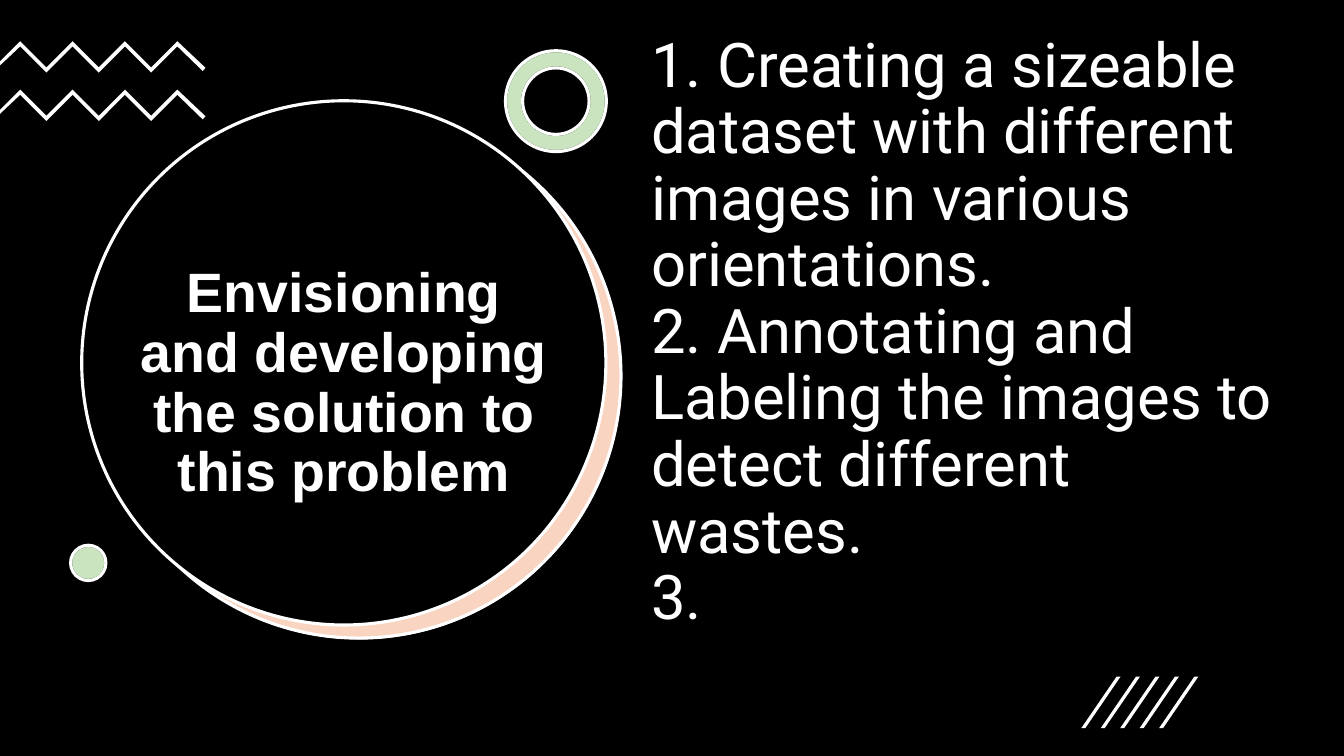
"""Build a slide on developing the solution, with circle and line ornaments."""
from lxml import etree
from pptx import Presentation
from pptx.dml.color import RGBColor
from pptx.enum.shapes import MSO_SHAPE
from pptx.enum.text import MSO_ANCHOR, PP_ALIGN
from pptx.oxml.ns import qn
from pptx.util import Cm, Pt

RECTANGLE, OVAL, DONUT = MSO_SHAPE.RECTANGLE, MSO_SHAPE.OVAL, MSO_SHAPE.DONUT
MIDDLE = MSO_ANCHOR.MIDDLE
LEFT, CENTER = PP_ALIGN.LEFT, PP_ALIGN.CENTER
BLACK, WHITE, ORANGE, GREEN = "000000", "FFFFFF", "E97132", "4EA72E"

SLIDE_SIZE = (33.87, 19.05)
HEADING = ["Envisioning and developing the solution to this problem"]
STEPS = [
    "1. Creating a sizeable dataset with different images in various orientations.",
    "2. Annotating and Labeling the images to detect different wastes.",
    "3.",
]
HEADING_BOX = (3.07, 5.21, 11.2, 8.94)
STEPS_BOX = (16.41, 0.71, 15.72, 15.39)

DISC_SIZE = 13.21
RING_BOX = (12.74, 1.28, 2.54, 2.54)
DOT_BOX = (1.78, 13.74, 0.89, 0.89)
CIRCLES = [
    (OVAL, (2.46, 2.9, DISC_SIZE, DISC_SIZE), WHITE, None, 100),
    (OVAL, (2.44, 2.87, DISC_SIZE, DISC_SIZE), ORANGE, WHITE, 30),
    (OVAL, (2.06, 2.54, DISC_SIZE, DISC_SIZE), BLACK, WHITE, 100),
]
BADGES = [(DONUT, RING_BOX), (OVAL, DOT_BOX)]
RING_THICKNESS = 0.17

ZIGZAG_TOPS = (1.04, 2.26)
ZIGZAG_START, ZIGZAG_STEP, ZIGZAG_DROP, ZIGZAG_THICKNESS = 0.51, 0.66, 0.66, 0.13
ZIGZAG_CORNERS = 7

SLASH_COUNT, SLASH_LEFT, SLASH_PITCH = 5, 27.25, 0.49
SLASH_TOP, SLASH_BOTTOM, SLASH_LEAN, SLASH_WIDTH = 17.05, 18.35, 0.89, 0.1


def color(hex_code):
    return RGBColor.from_string(hex_code)


def paint(shape, fill, line=None, opacity=100):
    shape.shadow.inherit = False
    shape.fill.solid()
    shape.fill.fore_color.rgb = color(fill)
    if opacity < 100:
        fill_color = shape.fill._xPr.find(qn("a:solidFill"))[0]
        etree.SubElement(fill_color, qn("a:alpha")).set("val", str(opacity * 1000))
    if line:
        shape.line.color.rgb = color(line)
        shape.line.width = Pt(2.25)
    else:
        shape.line.fill.background()


def add_figure(slide, kind, box, fill, line=None, opacity=100):
    figure = slide.shapes.add_shape(kind, *map(Cm, box))
    if kind == DONUT:
        figure.adjustments[0] = RING_THICKNESS
    paint(figure, fill, line, opacity)


def add_outline(slide, points):
    start, *rest = [(Cm(x), Cm(y)) for x, y in points]
    builder = slide.shapes.build_freeform(*start)
    builder.add_line_segments(rest, close=True)
    paint(builder.convert_to_shape(), WHITE)


def add_text(slide, paragraphs, box, *, font, size, bold=False, align=LEFT, inset=None):
    frame = slide.shapes.add_textbox(*map(Cm, box)).text_frame
    frame.word_wrap = True
    frame.vertical_anchor = MIDDLE
    if inset is not None:
        frame.margin_left = frame.margin_right = Cm(inset)
        frame.margin_top = frame.margin_bottom = Cm(inset)
    frame.text = "\n".join(paragraphs)
    for paragraph in frame.paragraphs:
        paragraph.alignment = align
        paragraph.line_spacing = 0.9
        for run in paragraph.runs:
            run.font.name = font
            run.font.size = Pt(size)
            run.font.bold = bold
            run.font.color.rgb = color(WHITE)


def zigzag(top):
    upper = [(ZIGZAG_START + i * ZIGZAG_STEP, top + i % 2 * ZIGZAG_DROP)
             for i in range(ZIGZAG_CORNERS)]
    lower = [(x, y + ZIGZAG_THICKNESS) for x, y in reversed(upper)]
    right_end = [(5.18, top + 0.67), (5.11, top + 0.75)]
    left_end = [(0, top + 0.61), (0, top + 0.51)]
    return upper + right_end + lower + left_end


def slash(index):
    left = SLASH_LEFT + index * SLASH_PITCH
    return [(left + SLASH_WIDTH, SLASH_BOTTOM), (left, SLASH_BOTTOM),
            (left + SLASH_LEAN, SLASH_TOP),
            (left + SLASH_LEAN + SLASH_WIDTH, SLASH_TOP)]


def main():
    deck = Presentation()
    deck.slide_width, deck.slide_height = map(Cm, SLIDE_SIZE)
    slide = deck.slides.add_slide(deck.slide_layouts[6])
    add_figure(slide, RECTANGLE, (0, 0, *SLIDE_SIZE), BLACK)
    for circle in CIRCLES:
        add_figure(slide, *circle)
    add_text(slide, HEADING, HEADING_BOX, font="Arial", size=39.6, bold=True, align=CENTER)
    for top in ZIGZAG_TOPS:
        add_outline(slide, zigzag(top))
    for kind, box in BADGES:
        add_figure(slide, kind, box, WHITE, BLACK)
        add_figure(slide, kind, box, GREEN, WHITE, 30)
    for index in range(SLASH_COUNT):
        add_outline(slide, slash(index))
    add_text(slide, STEPS, STEPS_BOX, font="Roboto", size=44, inset=0)
    deck.save("out.pptx")


if __name__ == "__main__":
    main()
